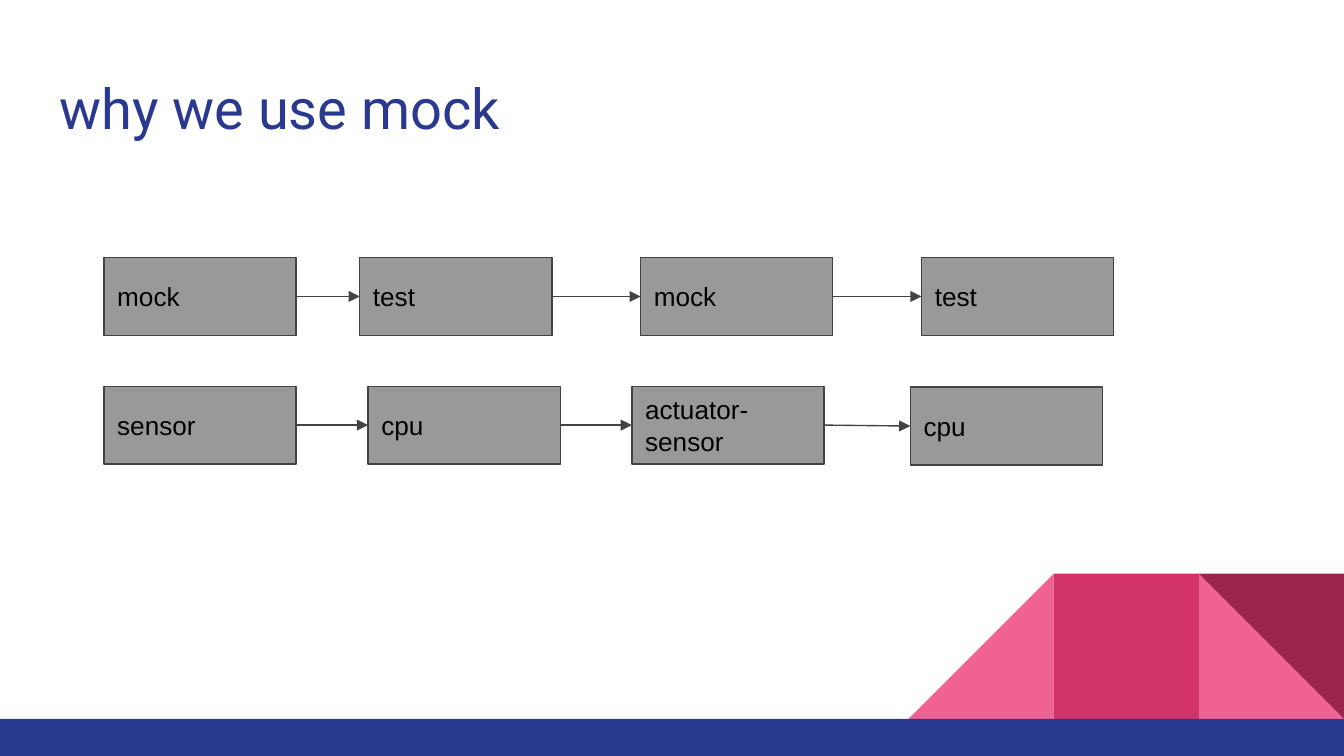
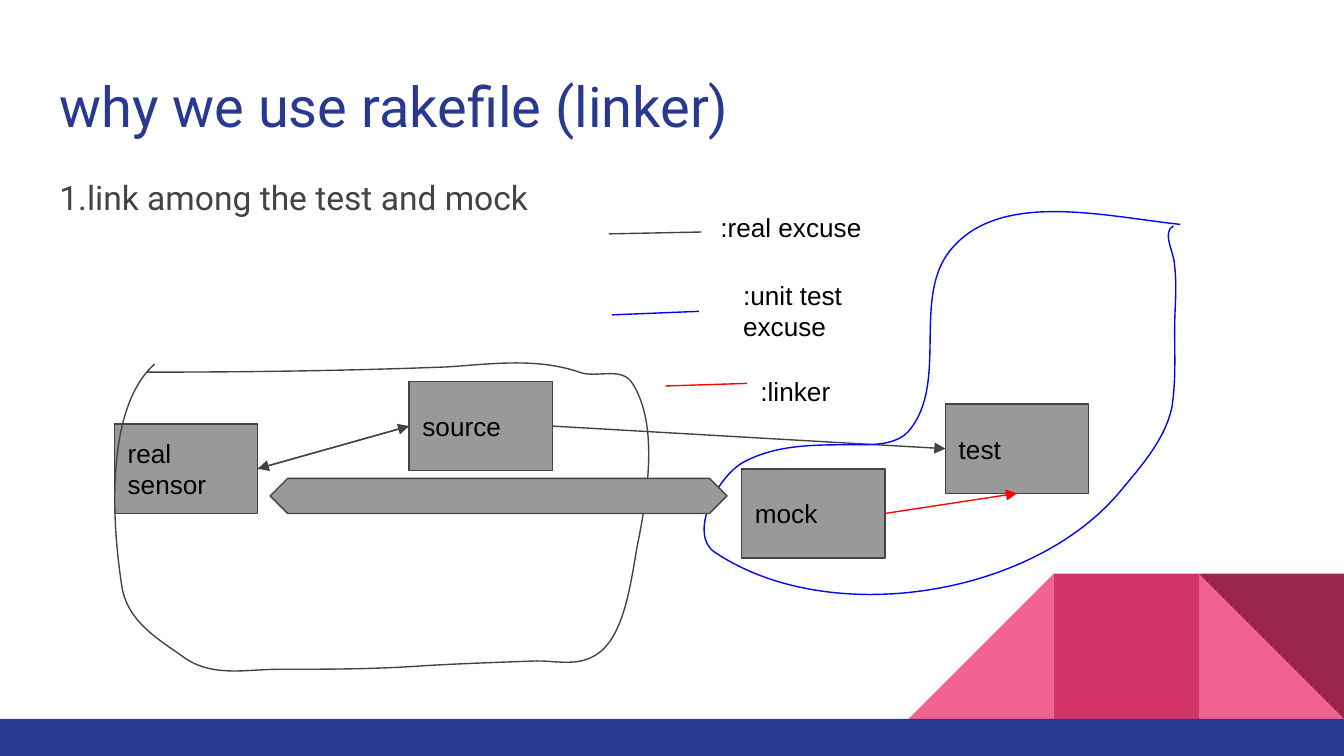
from dataclasses import dataclass
from itertools import pairwise

from lxml.etree import SubElement
from pptx import Presentation
from pptx.dml.color import RGBColor
from pptx.enum.shapes import MSO_CONNECTOR as Connector, MSO_SHAPE as Preset
from pptx.enum.text import MSO_ANCHOR as Anchor, PP_ALIGN as Align
from pptx.oxml.ns import qn
from pptx.shapes.autoshape import Shape
from pptx.shapes.connector import Connector as Line
from pptx.slide import Slide
from pptx.util import Pt


@dataclass(frozen=True)
class Theme:
    navy: str = "2A3990"
    pink: str = "F06292"
    rose: str = "D23369"
    wine: str = "9C254D"
    grey: str = "999999"
    dark: str = "434343"
    black: str = "000000"
    blue: str = "0000FF"
    red: str = "FF0000"
    heading_font: str = "Roboto"
    label_font: str = "Arial"
    title_size: float = 30
    body_size: float = 18
    label_size: float = 14
    line_width: float = 0.75
    inset: float = 7.2


@dataclass(frozen=True)
class Area:
    left: float
    top: float
    width: float
    height: float


@dataclass(frozen=True)
class Node:
    text: str
    left: float
    top: float


@dataclass(frozen=True)
class LegendEntry:
    text: str
    color: str
    start: tuple[float, float]
    end: tuple[float, float]
    area: Area


THEME = Theme()
WIDTH, HEIGHT = 720, 405
LEFT, BOTTOM, RIGHT = 1, 2, 3  # connection sites of a rectangle


# Drawing helpers
def add_text(shape: Shape, text: str, size: float, font: str, color: str,
             anchor: Anchor = Anchor.TOP, spacing: float | None = None) -> None:
    frame = shape.text_frame
    frame.text = text
    frame.word_wrap = True
    frame.vertical_anchor = anchor
    frame.margin_left = frame.margin_right = Pt(THEME.inset)
    frame.margin_top = frame.margin_bottom = Pt(THEME.inset)
    for paragraph in frame.paragraphs:
        paragraph.alignment = Align.LEFT
        paragraph.line_spacing = spacing
        for run in paragraph.runs:
            run.font.size = Pt(size)
            run.font.name = font
            run.font.color.rgb = RGBColor.from_string(color)


def add_text_box(slide: Slide, area: Area, text: str, size: float, font: str,
                 color: str, spacing: float | None = None) -> None:
    box = slide.shapes.add_textbox(Pt(area.left), Pt(area.top), Pt(area.width), Pt(area.height))
    add_text(box, text, size, font, color, spacing=spacing)


def set_outline(shape: Shape | Line, color: str) -> None:
    shape.line.color.rgb = RGBColor.from_string(color)
    shape.line.width = Pt(THEME.line_width)


def add_preset(slide: Slide, preset: Preset, area: Area, fill: str,
               outline: str | None = None, rotation: float = 0) -> Shape:
    shape = slide.shapes.add_shape(
        preset, Pt(area.left), Pt(area.top), Pt(area.width), Pt(area.height))
    shape.shadow.inherit = False
    shape.rotation = rotation
    shape.fill.solid()
    shape.fill.fore_color.rgb = RGBColor.from_string(fill)
    if outline:
        set_outline(shape, outline)
    else:
        shape.line.fill.background()
    return shape


def add_node(slide: Slide, node: Node, width: float, height: float) -> Shape:
    area = Area(node.left, node.top, width, height)
    shape = add_preset(slide, Preset.RECTANGLE, area, THEME.grey, THEME.dark)
    add_text(shape, node.text, THEME.label_size, THEME.label_font, THEME.black, Anchor.MIDDLE)
    return shape


def add_line(slide: Slide, start: tuple[float, float], end: tuple[float, float],
             color: str) -> Line:
    line = slide.shapes.add_connector(
        Connector.STRAIGHT, Pt(start[0]), Pt(start[1]), Pt(end[0]), Pt(end[1]))
    set_outline(line, color)
    SubElement(line._element.spPr, qn("a:effectLst"))
    return line


def add_arrow(slide: Slide, source: Shape, target: Shape, color: str = THEME.dark,
              source_site: int = RIGHT, target_site: int = LEFT) -> None:
    arrow = add_line(slide, (0, 0), (0, 0), color)
    arrow.begin_connect(source, source_site)
    arrow.end_connect(target, target_site)
    SubElement(arrow.line._get_or_add_ln(), qn("a:tailEnd"), type="triangle")


def add_curve(slide: Slide, area: Area, points: list[tuple[float, float]], color: str) -> None:
    """Draw joined cubic curves: a start, then two controls and an end for each."""
    builder = slide.shapes.build_freeform(Pt(points[0][0]), Pt(points[0][1]))
    builder.add_line_segments([(Pt(x), Pt(y)) for x, y in points[3::3]], close=False)
    shape = builder.convert_to_shape()
    shape.left, shape.top = Pt(area.left), Pt(area.top)
    shape.width, shape.height = Pt(area.width), Pt(area.height)
    shape.shadow.inherit = False
    shape.fill.background()
    set_outline(shape, color)

    # Turn the straight segments into curves, measured from the corner of the area
    outline = next(shape._element.iter(qn("a:path")))
    outline.set("w", str(Pt(area.width)))
    outline.set("h", str(Pt(area.height)))
    for child in list(outline):
        outline.remove(child)
    steps = [("a:moveTo", points[:1])]
    steps += [("a:cubicBezTo", points[i:i + 3]) for i in range(1, len(points), 3)]
    for tag, corners in steps:
        step = SubElement(outline, qn(tag))
        for x, y in corners:
            SubElement(step, qn("a:pt"), x=str(Pt(x - area.left)), y=str(Pt(y - area.top)))


# Shared slide frame: corner blocks, bottom band and title
def add_slide(presentation: Presentation, title: str, title_top: float) -> Slide:
    slide = presentation.slides.add_slide(presentation.slide_layouts[6])
    side, band_top = 77.75, 385.1
    blocks = (
        (Preset.RIGHT_TRIANGLE, 1, THEME.pink, 0),
        (Preset.RIGHT_TRIANGLE, 3, THEME.pink, 270),
        (Preset.RECTANGLE, 2, THEME.rose, 0),
        (Preset.RIGHT_TRIANGLE, 1, THEME.wine, 180),
    )
    for preset, place, color, rotation in blocks:
        area = Area(WIDTH - place * side, band_top - side, side, side)
        add_preset(slide, preset, area, color, rotation=rotation)
    add_preset(slide, Preset.RECTANGLE, Area(0, band_top, WIDTH, HEIGHT - band_top), THEME.navy)
    add_text_box(slide, Area(24.7, title_top, 671, 47.5), title,
                 THEME.title_size, THEME.heading_font, THEME.navy)
    return slide


presentation = Presentation()
presentation.slide_width, presentation.slide_height = Pt(WIDTH), Pt(HEIGHT)

# Slide 1: two chains of boxes
slide = add_slide(presentation, "why we use mock", 32.2)
chains = (
    (Node("sensor", 55.7, 206.9), Node("cpu", 197.2, 206.9),
     Node("actuator-sensor", 338.5, 206.9), Node("cpu", 487.7, 207.4)),
    (Node("mock", 55.7, 138), Node("test", 192.7, 138),
     Node("mock", 343.2, 138), Node("test", 493.7, 138)),
)
for chain in chains:
    boxes = [add_node(slide, node, 103, 41.7) for node in chain]
    for source, target in pairwise(boxes):
        add_arrow(slide, source, target)

# Slide 2: boxes and their links
slide = add_slide(presentation, "why we use rakefile (linker)", 31.2)
add_text_box(slide, Area(24.7, 84.2, 671, 262.8), "1.link among the test and mock",
             THEME.body_size, THEME.heading_font, THEME.dark, 1.15)
sensor, test, mock, source = [
    add_node(slide, node, 76.8, 47.8) for node in (
        Node("real sensor", 61.3, 227.2), Node("test", 506.5, 216.5),
        Node("mock", 397.3, 251.2), Node("source", 219.2, 204.4))]
add_arrow(slide, source, sensor, source_site=LEFT, target_site=RIGHT)
add_arrow(slide, sensor, source)
add_arrow(slide, source, test)
add_arrow(slide, mock, test, THEME.red, target_site=BOTTOM)

# Hand-drawn outlines around the real run and the unit test run
real_outline = [
    (78.5, 199.4), (131.8, 199.4), (185.8, 198.7), (239.8, 196.6),
    (262.8, 195.1), (287.3, 191.5), (310.3, 199.4),
    (319.7, 203), (333.4, 195.8), (339.1, 205.9),
    (352.8, 228.2), (347, 265), (341.3, 293),
    (337.7, 313.9), (334.1, 341.3), (319.7, 350.6),
    (308.9, 357.8), (296.6, 353.5), (285.1, 354.2),
    (263.5, 355), (241.9, 355.7), (221, 357.1),
    (197.3, 358.6), (172.8, 358.6), (149, 358.6),
    (132.5, 358.6), (114.5, 362.9), (99.4, 352.8),
    (86.4, 343.4), (69.1, 334.1), (65.5, 315.4),
    (59, 275), (57.6, 217.4), (82.8, 195.1),
]
unit_outline = [
    (632.2, 120.2), (591.8, 115.9), (537.1, 102.2), (510.5, 132.5),
    (487.4, 157.7), (509, 205.2), (486.7, 231.1),
    (479.5, 239), (465.8, 238.3), (455, 238.3),
    (435.6, 238.3), (415.4, 238.3), (398.2, 247.7),
    (383.8, 255.6), (368.6, 286.6), (383, 295.9),
    (444.2, 337), (553.7, 319.7), (600.5, 262.8),
    (611.3, 249.8), (624.2, 235.4), (627.8, 218.2),
    (630, 204.5), (629.3, 190.8), (629.3, 176.4),
    (629.3, 164.9), (630.7, 154.1), (629.3, 142.6),
    (629.3, 135.4), (622.1, 124.6), (628.6, 121),
]
add_curve(slide, Area(61.2, 194.4, 286.6, 165.6), real_outline, THEME.dark)
add_curve(slide, Area(377.3, 113, 255.6, 205.2), unit_outline, THEME.blue)

# Wide double-pointed bar
bar = add_preset(slide, Preset.LEFT_RIGHT_ARROW, Area(144.7, 256.3, 244.8, 18.8),
                 THEME.grey, THEME.dark)
bar.adjustments[0], bar.adjustments[1] = 1, 0.5

# Legend
legend = (
    LegendEntry(":real excuse", THEME.dark, (326.2, 125.3), (375.8, 124.3),
                Area(378.8, 105.8, 95, 36.7)),
    LegendEntry(":unit test\nexcuse", THEME.blue, (327.8, 168.7), (374.4, 166.8),
                Area(391, 142.5, 70.6, 28.8)),
    LegendEntry(":linker", THEME.red, (356.4, 206.8), (400.3, 205.4),
                Area(400.3, 193.7, 60.5, 23)),
)
for entry in legend:
    add_line(slide, entry.start, entry.end, entry.color)
    add_text_box(slide, entry.area, entry.text, THEME.label_size, THEME.label_font, THEME.black)

presentation.save("out.pptx")
